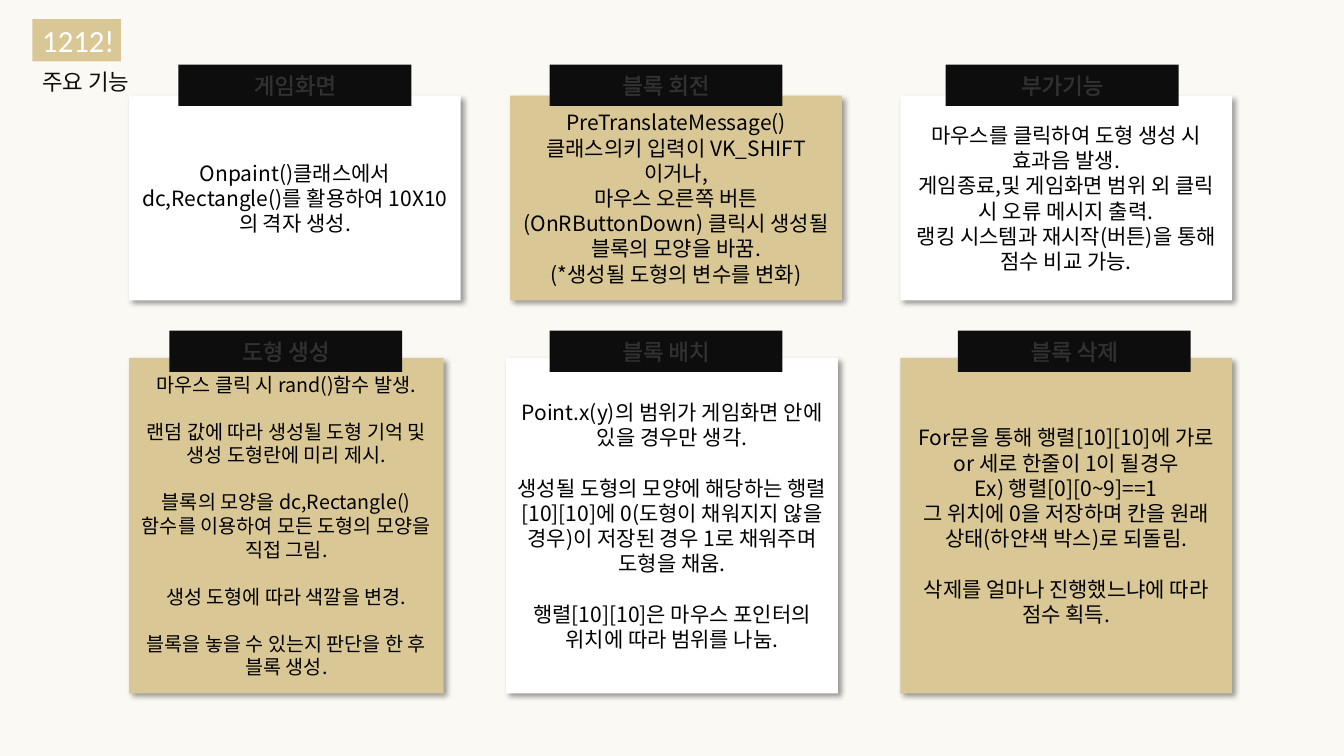
from lxml import etree
from pptx import Presentation
from pptx import util as u
from pptx.dml.color import RGBColor
from pptx.enum import shapes, text
from pptx.oxml.ns import qn

FONT = "Noto Sans CJK KR"
SAND, WHITE, INK, BLACK = "DAC796", "FFFFFF", "0D0D0D", "000000"
CHIP, TITLE = "1212!", "주요 기능"

# top and height of the panels, top of the bars
ROWS = [(0.95, 2.03, 0.64), (3.55, 3.33, 3.28)]
BAR_W, BAR_H = 2.31, 0.41

# row, panel left, panel width, bar left, fill, size, heading, groups of paragraphs
PANELS = [
    (0, 1.28, 3.29, 1.77, WHITE, 15, "게임화면", [
        ["Onpaint()클래스에서 dc,Rectangle()를 활용하여 10X10의 격자 생성."]]),
    (0, 5.06, 3.29, 5.45, SAND, 15, "블록 회전", [
        ["PreTranslateMessage() 클래스의키 입력이 VK_SHIFT이거나,",
         "마우스 오른쪽 버튼(OnRButtonDown) 클릭시 생성될 블록의 모양을 바꿈.",
         "(*생성될 도형의 변수를 변화)"]]),
    (0, 8.93, 3.29, 9.38, WHITE, 15, "부가기능", [
        ["마우스를 클릭하여 도형 생성 시 효과음 발생.",
         "게임종료,및 게임화면 범위 외 클릭 시 오류 메시지 출력.",
         "랭킹 시스템과 재시작(버튼)을 통해 점수 비교 가능."]]),
    (1, 1.28, 3.12, 1.68, SAND, 14, "도형 생성", [
        ["마우스 클릭 시 rand()함수 발생."],
        ["랜덤 값에 따라 생성될 도형 기억 및 생성 도형란에 미리 제시."],
        ["블록의 모양을 dc,Rectangle()함수를 이용하여 모든 도형의 모양을 직접 그림."],
        ["생성 도형에 따라 색깔을 변경."],
        ["블록을 놓을 수 있는지 판단을 한 후 블록 생성."]]),
    (1, 5.02, 3.29, 5.45, WHITE, 15, "블록 배치", [
        ["Point.x(y)의 범위가 게임화면 안에 있을 경우만 생각."],
        ["생성될 도형의 모양에 해당하는 행렬[10][10]에 0(도형이 채워지지 않을 경우)이 "
         "저장된 경우 1로 채워주며 도형을 채움."],
        ["행렬[10][10]은 마우스 포인터의 위치에 따라 범위를 나눔."]]),
    (1, 8.93, 3.29, 9.5, SAND, 15, "블록 삭제", [
        ["For문을 통해 행렬[10][10]에 가로or 세로 한줄이 1이 될경우",
         "Ex) 행렬[0][0~9]==1",
         "그 위치에 0을 저장하며 칸을 원래 상태(하얀색 박스)로 되돌림."],
        ["삭제를 얼마나 진행했느냐에 따라 점수 획득."]]),
]


def rgb(code):
    return RGBColor.from_string(code)


def add(parent, tag, **attrs):
    node = etree.SubElement(parent, qn(tag))
    for key, value in attrs.items():
        node.set(key, str(value))
    return node


def tint(parent, code, alpha):
    color = add(parent, "a:srgbClr", val=code)
    add(color, "a:alpha", val=alpha * 1000)


def box(left, top, width, height, fill):
    rect = slide.shapes.add_shape(
        shapes.MSO_SHAPE.RECTANGLE, *map(u.Inches, (left, top, width, height)))
    rect.shadow.inherit = False
    rect.fill.solid()
    rect.fill.fore_color.rgb = rgb(fill)
    rect.line.fill.background()
    return rect


def shade(shape):
    """Give the shape a soft shadow to the lower right."""
    effects = shape._element.spPr.find(qn("a:effectLst"))
    drop = add(effects, "a:outerShdw", blurRad=u.Pt(4), dist=u.Pt(3),
               dir=45 * 60000, algn="tl", rotWithShape=0)
    tint(drop, BLACK, 40)


def write(para, words, size, color, align, font=FONT):
    para.text = words
    para.alignment = align
    para.line_spacing = u.Pt(size * 1.2)
    para.font.size = u.Pt(size)
    para.font.color.rgb = rgb(color)
    para.font.name = font
    add(para.font._element, "a:ea", typeface=font)


def outline(para, color):
    """Draw a thin, mostly clear line round the letters."""
    props = para.runs[0].font._element
    line = etree.Element(qn("a:ln"), w=str(u.Pt(0.75)))
    tint(add(line, "a:solidFill"), color, 15)
    props.insert(0, line)


deck = Presentation()
deck.slide_width, deck.slide_height = u.Inches(13.33), u.Inches(7.5)
slide = deck.slides.add_slide(deck.slide_layouts[5])
slide.background.fill.solid()
slide.background.fill.fore_color.rgb = rgb("FBF9F3")
LEFT, MID = text.PP_ALIGN.LEFT, text.PP_ALIGN.CENTER

title = slide.shapes.title
title.left, title.top, title.width, title.height = map(
    u.Inches, (0.32, 0.63, 1.17, 0.37))
frame = title.text_frame
frame.word_wrap = False
frame.auto_size = text.MSO_AUTO_SIZE.NONE
frame.vertical_anchor = text.MSO_ANCHOR.TOP
write(frame.paragraphs[0], TITLE, 16, INK, LEFT)
outline(frame.paragraphs[0], INK)

chip = box(0.32, 0.19, 0.88, 0.42, SAND).text_frame
chip.word_wrap = False
write(chip.paragraphs[0], CHIP, 22, WHITE, LEFT, "Calibri")

for row, left, width, start, fill, size, head, groups in PANELS:
    top, height, edge = ROWS[row]
    panel = box(left, top, width, height, fill)
    shade(panel)
    frame = panel.text_frame
    frame.word_wrap = True
    para = frame.paragraphs[0]
    for g, group in enumerate(groups):
        for n, words in enumerate(group):
            if g or n:
                para = frame.add_paragraph()
            write(para, words, size, BLACK, MID)
            if g and not n:
                para.space_before = u.Pt(size * 1.2)

    bar = box(start, edge, BAR_W, BAR_H, INK).text_frame
    bar.word_wrap = False
    write(bar.paragraphs[0], head, 16, WHITE, MID)
    outline(bar.paragraphs[0], WHITE)

deck.save("out.pptx")
